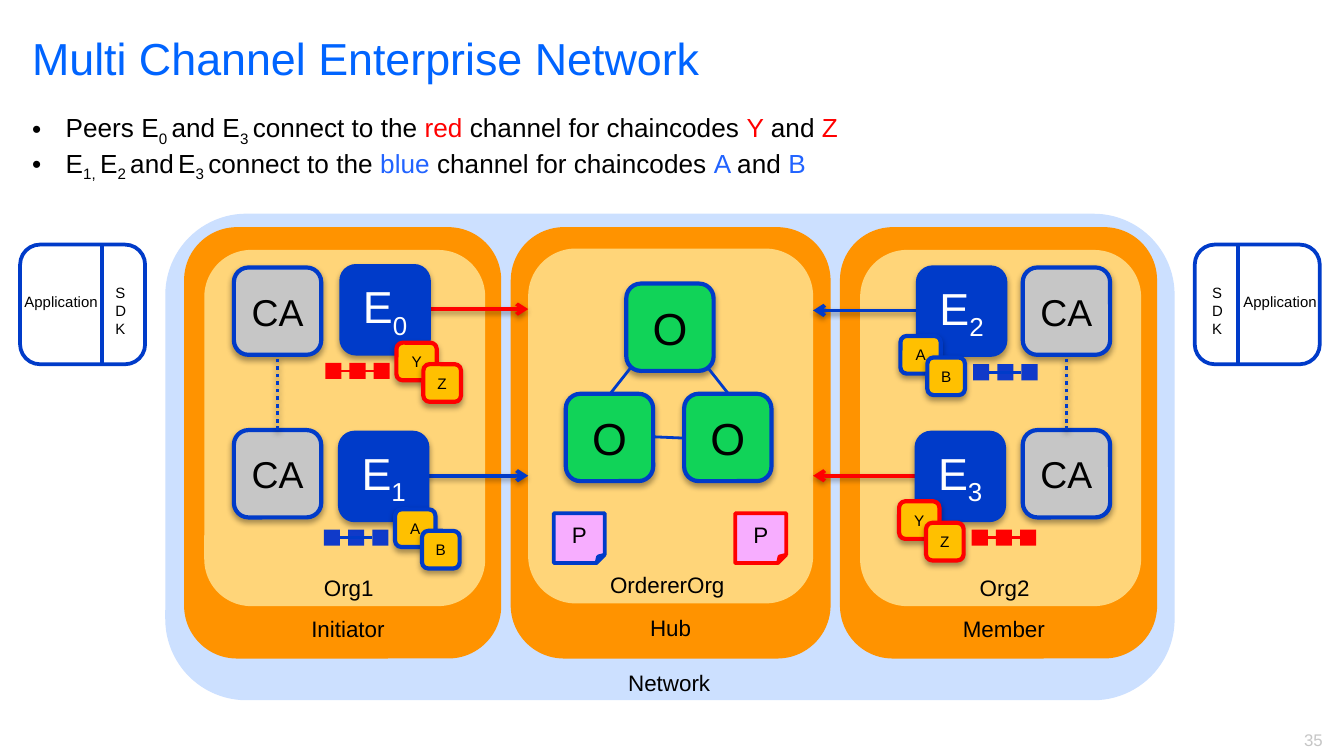
from lxml import etree
from pptx import Presentation
from pptx import util as u
from pptx.dml.color import RGBColor
from pptx.enum import dml, shapes, text
from pptx.oxml import ns

BLUE, RED, BLACK, WHITE = "003BC9", "FF0000", "000000", "FFFFFF"
SKY, GREY, GOLD, GREEN, PINK = "2163FF", "C6C6C6", "FFC000", "11D358", "F7ADFF"
KIND = shapes.MSO_SHAPE
ROUND, RECT, NOTE = KIND.ROUNDED_RECTANGLE, KIND.RECTANGLE, KIND.FOLDED_CORNER
MID, LEFT, RIGHT = text.PP_ALIGN.CENTER, text.PP_ALIGN.LEFT, text.PP_ALIGN.RIGHT
SIDE = 0.65  # edge of every node

# Content: runs are (text, colour, is subscript)
TITLE = "Multi Channel Enterprise Network"
BULLETS = [
    [("Peers E", BLACK, 0), ("0 ", BLACK, 1), ("and E", BLACK, 0), ("3 ", BLACK, 1),
     ("connect to the ", BLACK, 0), ("red", RED, 0),
     (" channel for chaincodes ", BLACK, 0), ("Y ", RED, 0), ("and ", BLACK, 0),
     ("Z", RED, 0)],
    [("E", BLACK, 0), ("1, ", BLACK, 1), ("E", BLACK, 0), ("2 ", BLACK, 1),
     ("and", BLACK, 0), (" ", BLACK, 1), ("E", BLACK, 0), ("3 ", BLACK, 1),
     ("connect to the ", BLACK, 0), ("blue ", SKY, 0),
     ("channel for chaincodes ", BLACK, 0), ("A ", SKY, 0), ("and ", BLACK, 0),
     ("B", SKY, 0)],
]
PANELS = [  # left, top, width, height, fill
    (1.23, 1.59, 7.51, 3.62, "CCE0FF"),
    (3.8, 1.69, 2.38, 3.21, "FF9300"), (3.93, 1.85, 2.12, 2.64, "FFD579"),
    (1.37, 1.69, 2.36, 3.21, "FF9300"), (1.52, 1.86, 2.09, 2.65, "FFD579"),
    (6.25, 1.69, 2.36, 3.21, "FF9300"), (6.4, 1.86, 2.09, 2.65, "FFD579"),
]
LABELS = [  # text, left, top, width
    ("Org1", 1.77, 4.22, 1.65), ("Initiator", 1.36, 4.53, 2.46),
    ("OrdererOrg", 4.14, 4.2, 1.65), ("Hub", 3.76, 4.52, 2.46),
    ("Network", 3.75, 4.93, 2.46),
    ("Org2", 6.65, 4.22, 1.65), ("Member", 6.24, 4.53, 2.46),
]
PEERS = [  # number, left, top, chaincodes, channel, on the left side
    ("0", 2.54, 1.98, "YZ", RED, True), ("1", 2.53, 3.22, "AB", BLUE, True),
    ("2", 6.83, 1.99, "AB", BLUE, False), ("3", 6.82, 3.22, "YZ", RED, False),
]
CA_LEFTS, CA_TOPS = (1.74, 7.61), (1.99, 3.2)
ORDERERS = [(4.66, 2.11), (4.21, 2.93), (5.09, 2.93)]
LINKS = [(4.86, 3.25, 5.09, 3.26), (4.69, 2.74, 4.54, 2.93), (5.27, 2.74, 5.42, 2.93)]
POLICIES = [(4.12, BLUE), (5.47, RED)]
APPS = [(0.15, 0.76, 0.05, 0.76), (8.89, 9.21, 9.12, 8.92)]  # frame, divider, name, SDK

# A 16:9 slide
deck = Presentation()
deck.slide_width = u.Inches(10)
deck.slide_height = deck.slide_width * 9 // 16
slide = deck.slides.add_slide(deck.slide_layouts[6])


def rgb(code):
    return RGBColor.from_string(code)


def glow(part, blur, dist, alpha):
    """Give a part a soft shadow falling straight down, or none."""
    props = part._element.spPr
    for old in props.findall(ns.qn("a:effectLst")):
        props.remove(old)
    group = etree.SubElement(props, ns.qn("a:effectLst"))
    if alpha:
        cast = etree.SubElement(group, ns.qn("a:outerShdw"), blurRad=str(u.Pt(blur)),
                                dist=str(u.Pt(dist)), dir="5400000", rotWithShape="0")
        tint = etree.SubElement(cast, ns.qn("a:srgbClr"), val=BLACK)
        etree.SubElement(tint, ns.qn("a:alpha"), val=str(alpha * 1000))


def write(para, runs, size, align=MID):
    para.alignment = align
    for words, color, sub in runs:
        run = para.add_run()
        run.text = words
        run.font.name, run.font.size = "Arial", u.Pt(size)
        run.font.color.rgb = rgb(color)
        if sub:
            run._r.get_or_add_rPr().set("baseline", "-25000")


def box(x, y, w, h, runs, size, align=MID):
    item = slide.shapes.add_textbox(*map(u.Inches, (x, y, w, h)))
    item.text_frame.word_wrap = True
    write(item.text_frame.paragraphs[0], runs, size, align)
    return item.text_frame


def block(kind, x, y, w, h, fill=None, edge=None, width=2.25, runs=(), size=12, lift=False):
    item = slide.shapes.add_shape(kind, *map(u.Inches, (x, y, w, h)))
    item.shadow.inherit = False
    if fill:
        item.fill.solid()
        item.fill.fore_color.rgb = rgb(fill)
    else:
        item.fill.background()
    if edge:
        item.line.color.rgb, item.line.width = rgb(edge), u.Pt(width)
    else:
        item.line.fill.background()
    if lift:
        glow(item, 3.1, 1.8, 35)
    if runs:
        frame = item.text_frame
        frame.margin_left = frame.margin_right = frame.margin_top = frame.margin_bottom = 0
        frame.vertical_anchor = text.MSO_ANCHOR.MIDDLE
        write(frame.paragraphs[0], runs, size)


def line(x1, y1, x2, y2, color, width, dash=None, arrow=False, lift=False):
    item = slide.shapes.add_connector(shapes.MSO_CONNECTOR.STRAIGHT,
                                      *map(u.Inches, (x1, y1, x2, y2)))
    item.line.color.rgb, item.line.width = rgb(color), u.Pt(width)
    if dash:
        item.line.dash_style = dash
    if arrow:
        etree.SubElement(item.line._get_or_add_ln(), ns.qn("a:tailEnd"), type="arrow")
    glow(item, 3.1, 1.6, 38 if lift else 0)


# Title, bullets and page number
head = box(0.14, 0.05, 8.5, 1.11, [(TITLE, "0064FF", 0)], 24, LEFT)
head.margin_top = u.Inches(0.18)
frame = box(0.14, 0.78, 6.71, 0.57, [], 14, LEFT)
for i, runs in enumerate(BULLETS):
    para = frame.add_paragraph() if i else frame.paragraphs[0]
    props = para._p.get_or_add_pPr()
    props.set("marL", str(u.Inches(0.25)))
    props.set("indent", str(-u.Inches(0.25)))
    etree.SubElement(props, ns.qn("a:buFont"), typeface="Arial")
    etree.SubElement(props, ns.qn("a:buChar"), char="•")
    write(para, runs, 14, LEFT)
box(9.36, 5.38, 0.58, 0.25, [("35", GREY, 0)], 9, RIGHT)

# Nested panels and their names
for x, y, w, h, fill in PANELS:
    block(ROUND, x, y, w, h, fill)
for name, x, y, w in LABELS:
    box(x, y, w, 0.3, [(name, BLACK, 0)], 12)

# Certificate authorities
for x in CA_LEFTS:
    for y in CA_TOPS:
        block(ROUND, x, y, SIDE, SIDE, GREY, BLUE, runs=[("CA", BLACK, 0)], size=20, lift=True)
    line(x + SIDE / 2, CA_TOPS[1], x + SIDE / 2, CA_TOPS[0] + SIDE, BLUE, 2,
         dash=dml.MSO_LINE.ROUND_DOT, lift=True)

# Orderers
for x, y in ORDERERS:
    block(ROUND, x, y, SIDE, SIDE, GREEN, BLUE, runs=[("O", BLACK, 0)], size=24, lift=True)
for ends in LINKS:
    line(*ends, BLUE, 1.5)

# Peers, each with an arrow, a chain of blocks and two chaincodes
for num, x, y, codes, color, left in PEERS:
    start, end = (x + SIDE, 3.93) if left else (x, 6.05)
    line(start, y + 0.32, end, y + 0.32, color, 2, arrow=True, lift=True)
    cx, cy = x + (-0.12 if left else 0.41), y + 0.72
    for i in range(3):
        block(RECT, cx + 0.18 * i, cy, 0.12, 0.12, "103AC9" if color == BLUE else RED)
    line(cx + 0.12, cy + 0.06, cx + 0.36, cy + 0.06, color, 1.5)
    block(ROUND, x, y, SIDE, SIDE, BLUE, BLUE, runs=[("E", WHITE, 0), (num, WHITE, 1)],
          size=24, lift=True)
    bx, by = (x + 0.41, y + 0.57) if left else (x - 0.13, y + 0.51)
    for i, code in enumerate(codes):
        block(ROUND, bx + 0.2 * i, by + 0.16 * i, 0.3 - 0.02 * i, 0.28, GOLD, color,
              runs=[(code, BLACK, 0)], size=8.2, lift=True)

# Client applications
for edge, split, name, kit in APPS:
    block(ROUND, edge, 1.82, 0.93, 0.89, edge=BLUE, width=2)
    line(split, 1.82, split, 2.71, BLUE, 2.25)
    box(name, 2.13, 0.81, 0.24, [("Application", BLACK, 0)], 8)
    box(kit, 2.06, 0.3, 0.5, [("SDK", BLACK, 0)], 8, LEFT)

# Policies
for x, color in POLICIES:
    block(NOTE, x, 3.82, 0.38, 0.37, PINK, color, 2, [("P", BLACK, 0)])

deck.save("out.pptx")
